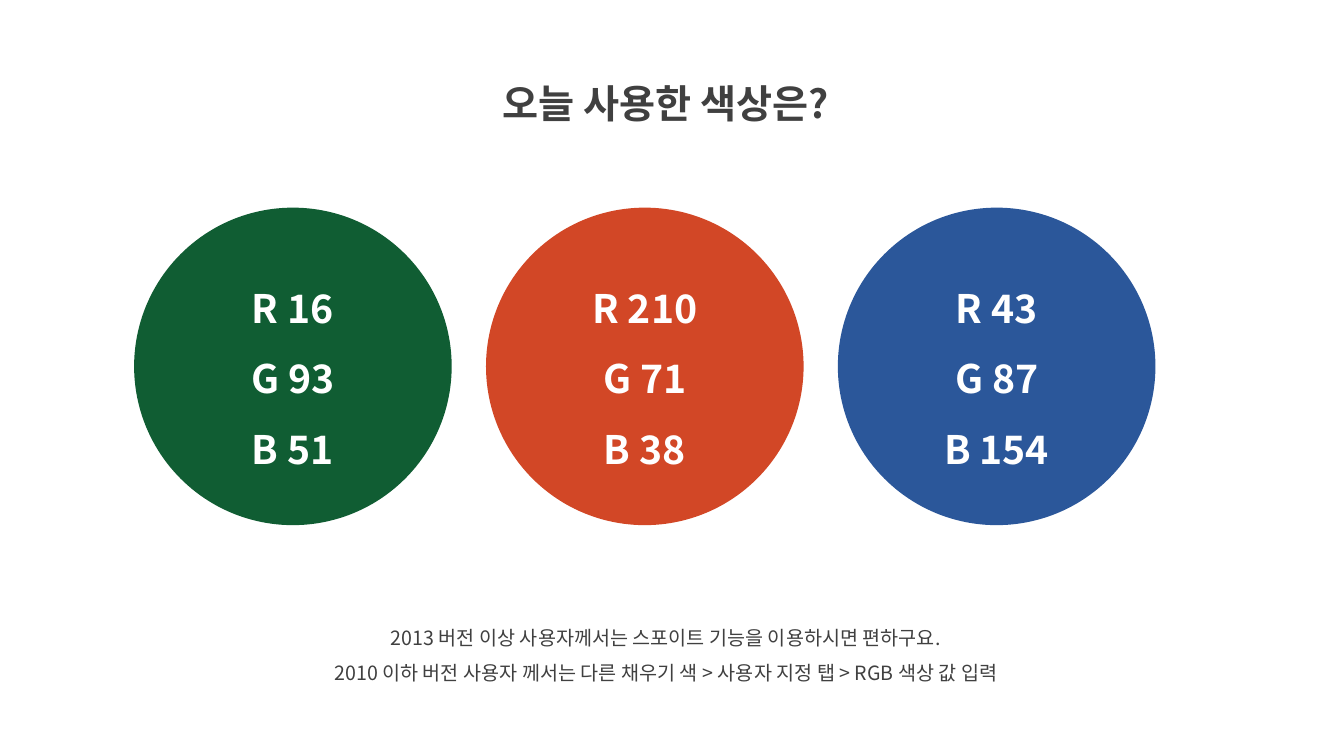
import dataclasses

import lxml.etree
import pptx
import pptx.dml.color
import pptx.enum.shapes
import pptx.enum.text
import pptx.oxml.ns
import pptx.shapes.autoshape
import pptx.slide
import pptx.text.text
import pptx.util

RGB = pptx.dml.color.RGBColor
GREEN = RGB(16, 93, 51)
RED = RGB(210, 71, 38)
BLUE = RGB(43, 87, 154)
GRAY = RGB(64, 64, 64)
WHITE = RGB(255, 255, 255)

FACE = "Noto Sans CJK KR"
SCALE = 9144  # EMU in one px, 100 px to the inch

# Row of circles
LEFT, TOP, SIZE, STEP = 133, 206, 315, 349


@dataclasses.dataclass(frozen=True)
class Label:
    """A text box with centred lines."""
    box: tuple[int, int, int, int]
    lines: list[str]
    style: dict[str, object]


BIG = {"size": pptx.util.Pt(28), "bold": True, "name": FACE}
SMALL = {"size": pptx.util.Pt(14), "bold": False, "name": FACE}

LABELS = [
    Label((429, 50, 463, 72), ["오늘 사용한 색상은?"], BIG),
    Label((261, 604, 799, 81), [
        "2013 버전 이상 사용자께서는 스포이트 기능을 이용하시면 편하구요.",
        "2010 이하 버전 사용자 께서는 다른 채우기 색 > 사용자 지정 탭 > RGB 색상 값 입력",
    ], SMALL),
]


def px(count: int) -> pptx.util.Emu:
    return pptx.util.Emu(count * SCALE)


def write(frame: pptx.text.text.TextFrame, lines: list[str],
          style: dict[str, object], color: RGB) -> None:
    """Fill a frame with centred lines in one style."""
    frame.word_wrap = True
    for index, line in enumerate(lines):
        para = frame.paragraphs[0] if index == 0 else frame.add_paragraph()
        para.alignment = pptx.enum.text.PP_ALIGN.CENTER
        para.line_spacing = 1.5
        run = para.add_run()
        run.text = line
        for key, value in style.items():
            setattr(run.font, key, value)
        run.font.color.rgb = color
        # Hangul takes its face from the East Asian font
        east = lxml.etree.SubElement(run.font._element,
                                     pptx.oxml.ns.qn("a:ea"))
        east.set("typeface", FACE)


def draw_label(slide: pptx.slide.Slide, label: Label) -> None:
    box = slide.shapes.add_textbox(*map(px, label.box))
    write(box.text_frame, label.lines, label.style, GRAY)
    box.text_frame.auto_size = pptx.enum.text.MSO_AUTO_SIZE.SHAPE_TO_FIT_TEXT


def draw_disc(slide: pptx.slide.Slide, index: int, color: RGB) -> None:
    """Draw a circle that states its own colour values."""
    disc = slide.shapes.add_shape(
        pptx.enum.shapes.MSO_SHAPE.OVAL,
        px(LEFT + index * STEP), px(TOP), px(SIZE), px(SIZE))
    disc.shadow.inherit = False
    disc.fill.solid()
    disc.fill.fore_color.rgb = color
    disc.line.fill.background()
    disc.text_frame.vertical_anchor = pptx.enum.text.MSO_ANCHOR.MIDDLE
    lines = [f"{name} {value}" for name, value in zip("RGB", color)]
    write(disc.text_frame, lines, BIG, WHITE)


def main() -> None:
    deck = pptx.Presentation()
    deck.slide_width, deck.slide_height = px(1333), px(750)
    slide = deck.slides.add_slide(deck.slide_layouts[6])

    # Title and hints
    for label in LABELS:
        draw_label(slide, label)

    # Colour circles
    for index, color in enumerate([GREEN, RED, BLUE]):
        draw_disc(slide, index, color)

    deck.save("out.pptx")


if __name__ == "__main__":
    main()
